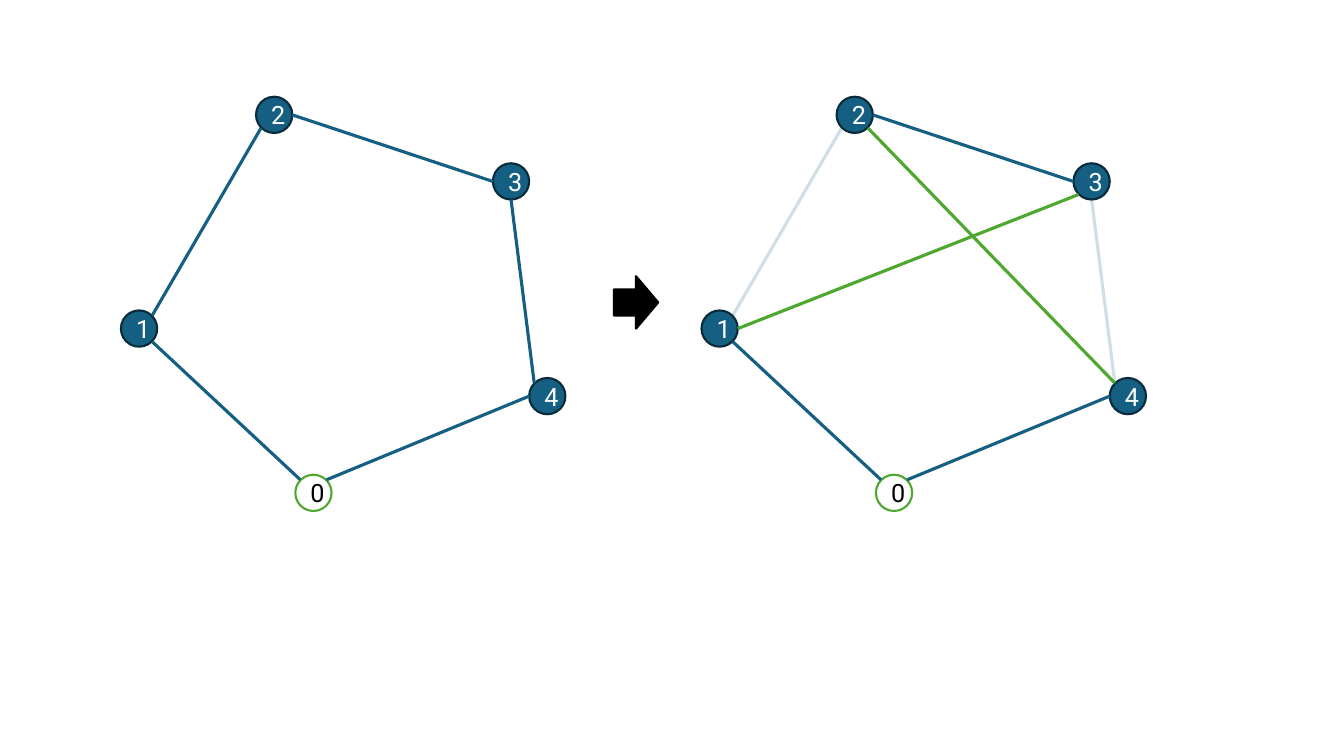
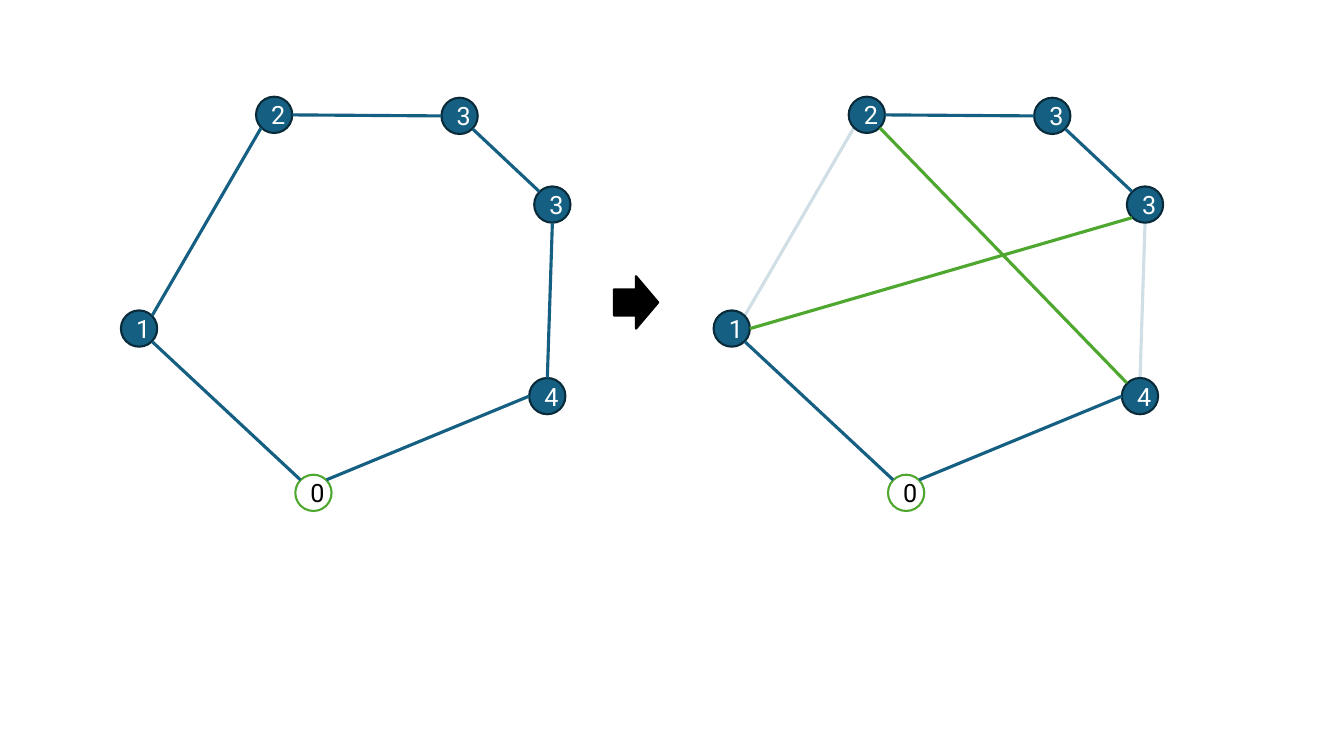
from lxml import etree
from pptx import Presentation
from pptx.dml.color import RGBColor
from pptx.enum.shapes import MSO_CONNECTOR as CXN, MSO_SHAPE as SHAPE
from pptx.enum.text import MSO_ANCHOR, PP_ALIGN
from pptx.oxml.ns import qn
from pptx.util import Emu, Inches, Pt

BLUE = RGBColor(0x15, 0x60, 0x82)
NAVY = RGBColor(0x09, 0x2A, 0x39)
GREEN = RGBColor(0x4E, 0xA7, 0x2E)
BLACK = RGBColor(0, 0, 0)
WHITE = RGBColor(0xFF, 0xFF, 0xFF)

EMU_PER_PX = 9144  # 100 px to the inch
NODE = 36
FONT = {"name": "Roboto", "size": Pt(18)}
OUTLINE = {"width": Pt(1.5)}
EDGE = {"width": Pt(2.25)}
FADED = 20  # per cent opacity of a removed edge

DIAGONAL = 0.5 ** 0.5
SITES = {
    "N": (0, -1), "E": (1, 0), "S": (0, 1), "W": (-1, 0),
    "NE": (DIAGONAL, -DIAGONAL), "SE": (DIAGONAL, DIAGONAL),
    "SW": (-DIAGONAL, DIAGONAL), "NW": (-DIAGONAL, -DIAGONAL),
}

# Node key: label, left, top
SHARED_NODES = {
    "one": ("1", 120, 308),
    "two": ("2", 254, 96),
    "four": ("4", 525, 375),
    "zero": ("0", 293, 471),
}
# Edge: start node, start site, end node, end site
SHARED_EDGES = [
    ("one", "SE", "zero", "NW"),
    ("three", "W", "two", "E"),
    ("zero", "NE", "four", "W"),
]
CUT_LEFT = ("one", "NE", "two", "SW")
SWAP_DOWN = ("two", "SE", "four", "NW")

TOURS = [
    {
        "nodes": {"three": ("3", 489, 162)},
        "kept": [],
        "cut": [CUT_LEFT, ("four", "NW", "three", "S")],
        "added": [("one", "E", "three", "SW"), SWAP_DOWN],
        "shift": 576,
    },
    {
        "nodes": {"three": ("3", 438, 97), "next_three": ("3", 530, 185)},
        "kept": [("next_three", "NW", "three", "SE")],
        "cut": [CUT_LEFT, ("four", "N", "next_three", "S")],
        "added": [("one", "E", "next_three", "SW"), SWAP_DOWN],
        "shift": 588,
    },
]


def px(n):
    return Emu(round(n) * EMU_PER_PX)


def apply(target, values):
    for name, value in values.items():
        setattr(target, name, value)


class Deck:
    def __init__(self):
        self.prs = Presentation()
        self.prs.slide_width, self.prs.slide_height = Inches(40 / 3), Inches(7.5)
        self.slide = None

    def new_slide(self):
        self.slide = self.prs.slides.add_slide(self.prs.slide_layouts[6])

    def shape(self, shapes, kind, box, fill, line):
        sp = shapes.add_shape(kind, *map(px, box))
        sp.shadow.inherit = False
        sp.fill.solid()
        sp.fill.fore_color.rgb = fill
        sp.line.color.rgb = line
        apply(sp.line, OUTLINE)
        return sp

    def node(self, shapes, label, x, y):
        is_start = label == "0"
        fill, line, ink = (WHITE, GREEN, BLACK) if is_start else (BLUE, NAVY, WHITE)
        sp = self.shape(shapes, SHAPE.OVAL, (x, y, NODE, NODE), fill, line)
        tf = sp.text_frame
        tf.vertical_anchor = MSO_ANCHOR.MIDDLE
        p = tf.paragraphs[0]
        p.alignment = PP_ALIGN.CENTER
        r = p.add_run()
        r.text = label
        apply(r.font, FONT)
        r.font.color.rgb = ink

    def edge(self, shapes, start, end, color, opacity=100):
        line = shapes.add_connector(CXN.STRAIGHT, *map(px, start + end))
        line.line.color.rgb = color
        apply(line.line, EDGE)
        sp_pr = line.element.spPr
        etree.SubElement(sp_pr, qn("a:effectLst"))
        if opacity < 100:
            rgb = next(sp_pr.iter(qn("a:srgbClr")))
            etree.SubElement(rgb, qn("a:alpha"), val=str(opacity * 1000))

    def graph(self, nodes, edge_sets, shift=0):
        """Draw one grouped graph; edge_sets holds (edges, colour, opacity)."""
        shapes = self.slide.shapes.add_group_shape().shapes
        for label, x, y in nodes.values():
            self.node(shapes, label, x + shift, y)

        def site(key, side):
            _, x, y = nodes[key]
            dx, dy = SITES[side]
            radius = NODE / 2
            return (x + shift + radius * (1 + dx), y + radius * (1 + dy))

        for edges, color, opacity in edge_sets:
            for a, a_side, b, b_side in edges:
                self.edge(shapes, site(a, a_side), site(b, b_side), color, opacity)

    def arrow(self):
        self.shape(self.slide.shapes, SHAPE.RIGHT_ARROW, (609, 274, 44, 52), BLACK, BLACK)


def main():
    deck = Deck()
    for tour in TOURS:
        deck.new_slide()
        nodes = {**SHARED_NODES, **tour["nodes"]}
        kept = (SHARED_EDGES + tour["kept"], BLUE, 100)
        deck.graph(nodes, [kept, (tour["cut"], BLUE, 100)])
        deck.graph(
            nodes,
            [kept, (tour["cut"], BLUE, FADED), (tour["added"], GREEN, 100)],
            tour["shift"],
        )
        deck.arrow()
    deck.prs.save("out.pptx")


if __name__ == "__main__":
    main()
